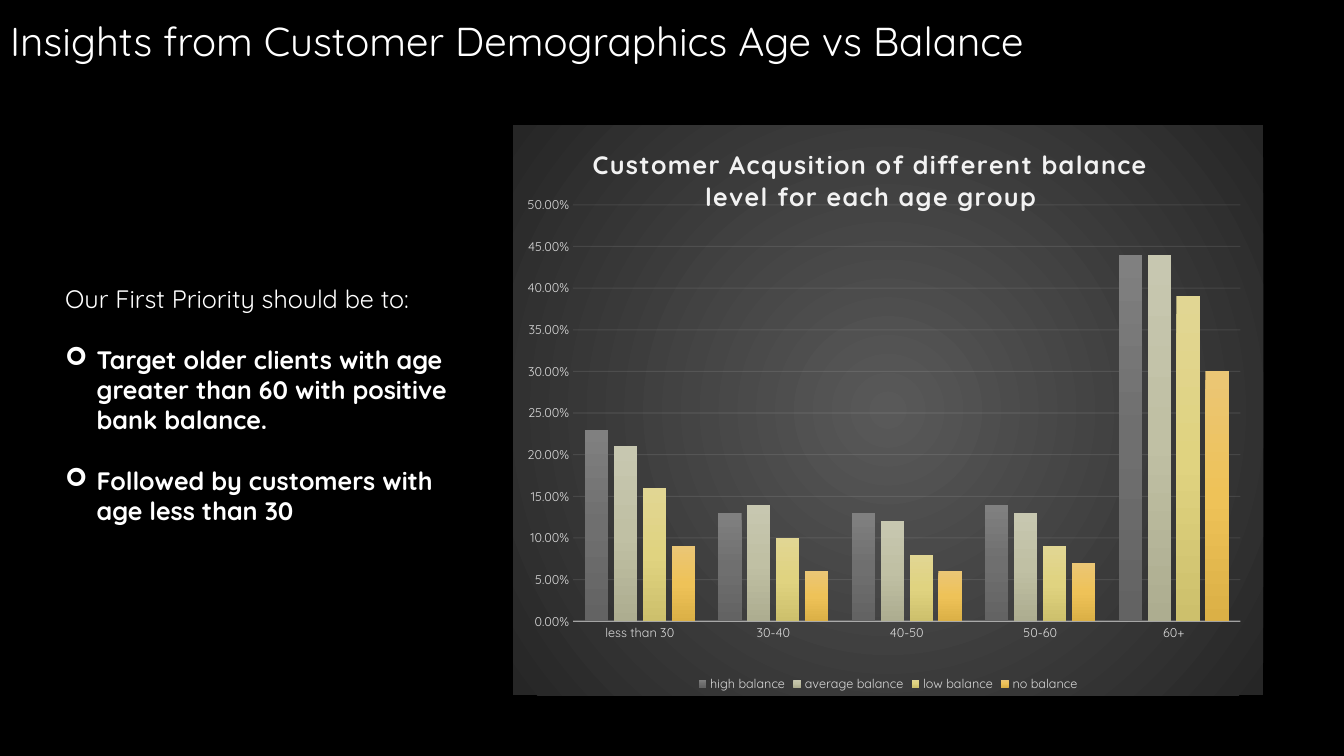
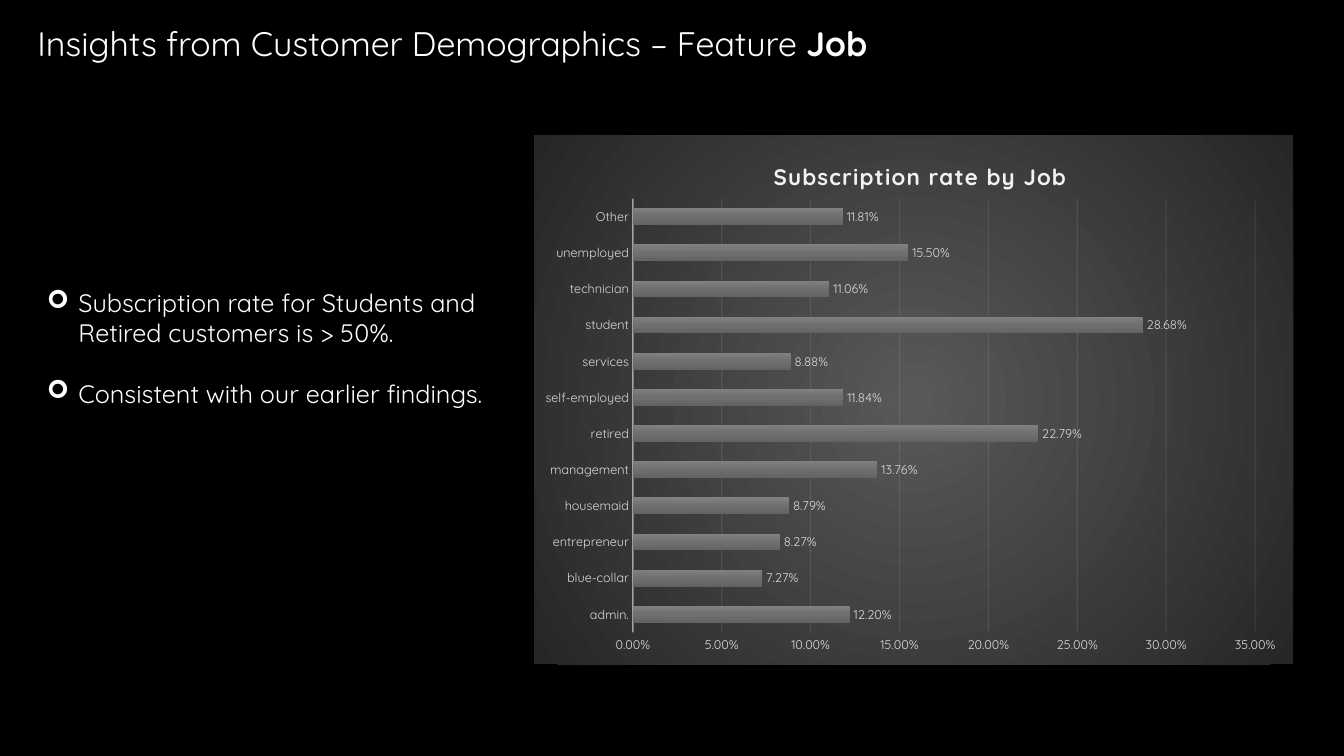
from dataclasses import dataclass
from lxml.etree import SubElement
from pptx import Presentation
from pptx.chart.data import CategoryChartData
from pptx.dml.color import RGBColor
from pptx.enum.chart import XL_CHART_TYPE, XL_LABEL_POSITION, XL_LEGEND_POSITION, XL_TICK_MARK
from pptx.enum.text import MSO_ANCHOR, PP_ALIGN
from pptx.oxml import parse_xml
from pptx.oxml.ns import nsdecls, qn
from pptx.util import Pt

# Shared style
FONT = "Quicksand"
BLACK, WHITE, PALE, LIGHT = "000000", "FFFFFF", "F2F2F2", "D9D9D9"
BODY_SIZE, LINE_PITCH, INDENT = 18, 21.6, 22.5
PERCENT = "0.00%"
BACKDROP = ("595959", "262626")
GREY = ("808080", "6F6F6F", "636363")
SAGE = ("C7C7B0", "C0C0A4", "ADAD90")
YELLOW = ("E1D693", "E0D380", "CDC06C")
GOLD = ("EBC675", "EEC258", "DBB046")
LINEAR = '<a:lin ang="5400000" scaled="0"/>'
RADIAL = '<a:path path="circle"><a:fillToRect l="50000" t="50000" r="50000" b="50000"/></a:path>'


@dataclass
class Box:
    left: float
    top: float
    width: float
    height: float


@dataclass
class Run:
    text: str
    bold: bool = False


@dataclass
class Para:
    text: str
    bold: bool = False
    bullet: bool = True


@dataclass
class Series:
    name: str
    values: list[float]
    shades: tuple[str, ...]


@dataclass
class ChartDef:
    kind: XL_CHART_TYPE
    title: str
    title_size: float
    title_at: tuple[float, float]
    plot_area: tuple[float, float, float, float]
    categories: list[str]
    series: list[Series]
    maximum: float
    gap: int
    overlap: int
    legend: bool = False
    labels: bool = False


@dataclass
class SlideDef:
    title: list[Run]
    title_size: float
    title_box: Box
    paras: list[Para]
    text_box: Box
    chart: ChartDef
    chart_box: Box


def color(value: str) -> RGBColor:
    return RGBColor.from_string(value)


def place(box: Box) -> tuple:
    return Pt(box.left), Pt(box.top), Pt(box.width), Pt(box.height)


def style(font, size: float, value: str, bold: bool = False) -> None:
    font.name, font.size, font.bold = FONT, Pt(size), bold
    font.color.rgb = color(value)


def gradient(shades: tuple[str, ...], direction: str):
    step = 100000 // (len(shades) - 1)
    stops = "".join(f'<a:gs pos="{i * step}"><a:srgbClr val="{shade}"/></a:gs>'
                    for i, shade in enumerate(shades))
    return parse_xml(f'<a:gradFill {nsdecls("a")} rotWithShape="1">'
                     f'<a:gsLst>{stops}</a:gsLst>{direction}</a:gradFill>')


def faint_line(fmt, width: float, opacity: int) -> None:
    fmt.line.width = Pt(width)
    fmt.line.color.rgb = color(PALE)
    for clr in fmt.line._get_or_add_ln().iter(qn("a:srgbClr")):
        SubElement(clr, qn("a:alpha")).set("val", str(opacity * 1000))


def manual_layout(parent_layout, inner: bool, **sizes: float) -> None:
    """Fill a chart layout element with fractions of the chart area."""
    for child in list(parent_layout):
        parent_layout.remove(child)
    manual = SubElement(parent_layout, qn("c:manualLayout"))
    entries = [("layoutTarget", "inner")] if inner else []
    entries += [("xMode", "edge"), ("yMode", "edge"), *sizes.items()]
    for tag, value in entries:
        SubElement(manual, qn(f"c:{tag}")).set("val", str(value))


def add_title(s, runs: list[Run], size: float, box: Box) -> None:
    sp = s.shapes.title
    sp.left, sp.top, sp.width, sp.height = place(box)
    tf = sp.text_frame
    tf.vertical_anchor = MSO_ANCHOR.MIDDLE
    p = tf.paragraphs[0]
    p.alignment = PP_ALIGN.LEFT
    for run in runs:
        r = p.add_run()
        r.text = run.text
        style(r.font, size, WHITE, run.bold)


def add_text(s, paras: list[Para], box: Box) -> None:
    tf = s.shapes.add_textbox(*place(box)).text_frame
    tf.word_wrap = True
    for i, para in enumerate(paras):
        p = tf.add_paragraph() if i else tf.paragraphs[0]
        p.text = para.text
        p.line_spacing = Pt(LINE_PITCH)
        if i < len(paras) - 1:
            p.space_after = Pt(LINE_PITCH)
        style(p.runs[0].font, BODY_SIZE, WHITE, para.bold)
        if para.bullet:
            pPr = p._p.get_or_add_pPr()
            pPr.set("marL", str(Pt(INDENT)))
            pPr.set("indent", str(-Pt(INDENT)))
            SubElement(pPr, qn("a:buFont")).set("typeface", "Wingdings")
            SubElement(pPr, qn("a:buChar")).set("char", "➢")


def format_axes(chart, maximum: float) -> None:
    cat, val = chart.category_axis, chart.value_axis
    for axis in (cat, val):
        axis.major_tick_mark = axis.minor_tick_mark = XL_TICK_MARK.NONE
        style(axis.tick_labels.font, 9, LIGHT)
    cat.has_major_gridlines = False
    faint_line(cat.format, 1, 54)
    val.minimum_scale, val.maximum_scale, val.major_unit = 0, maximum, 0.05
    val.tick_labels.number_format = PERCENT
    val.tick_labels.number_format_is_linked = False
    val.format.line.fill.background()
    val.has_major_gridlines = True
    faint_line(val.major_gridlines.format, 0.75, 10)


def add_bar_chart(s, d: ChartDef, box: Box) -> None:
    data = CategoryChartData(number_format=PERCENT)
    data.categories = d.categories
    for series in d.series:
        data.add_series(series.name, series.values)
    chart = s.shapes.add_chart(d.kind, *place(box), data).chart
    style(chart.font, 10, WHITE)
    format_axes(chart, d.maximum)

    # Chart background
    spPr = parse_xml(f'<c:spPr {nsdecls("c", "a")}><a:ln><a:noFill/></a:ln></c:spPr>')
    spPr.insert(0, gradient(BACKDROP, RADIAL))
    chart_el = chart.element.find(qn("c:chart"))
    chart_el.addnext(spPr)

    # Title
    chart.has_title = True
    title = chart.chart_title
    title.include_in_layout = False
    p = title.text_frame.paragraphs[0]
    p.text = d.title
    r = p.runs[0]
    style(r.font, d.title_size, PALE, True)
    r._r.get_or_add_rPr().set("spc", "100")
    x, y = d.title_at
    manual_layout(title._element.get_or_add_layout() if hasattr(title._element, "get_or_add_layout")
                  else title._element.find(qn("c:layout")), False, x=x, y=y)

    # Plot area and bars
    plot_el = chart_el.find(qn("c:plotArea"))
    layout = plot_el.find(qn("c:layout"))
    if layout is None:
        layout = parse_xml(f'<c:layout {nsdecls("c")}/>')
        plot_el.insert(0, layout)
    x, y, w, h = d.plot_area
    manual_layout(layout, True, x=x, y=y, w=w, h=h)
    plot = chart.plots[0]
    plot.vary_by_categories = False
    plot.gap_width, plot.overlap = d.gap, d.overlap
    for bars, series in zip(plot.series, d.series):
        bars.format.line.fill.background()
        bars._element.get_or_add_spPr().insert(0, gradient(series.shades, LINEAR))

    # Legend and labels
    chart.has_legend = d.legend
    if d.legend:
        chart.legend.position = XL_LEGEND_POSITION.BOTTOM
        chart.legend.include_in_layout = False
        style(chart.legend.font, 9, LIGHT)
    if d.labels:
        plot.has_data_labels = True
        labels = plot.data_labels
        labels.show_value = True
        labels.number_format, labels.number_format_is_linked = PERCENT, False
        labels.position = XL_LABEL_POSITION.OUTSIDE_END
        style(labels.font, 9, LIGHT)


AGE_CHART = ChartDef(
    XL_CHART_TYPE.COLUMN_CLUSTERED,
    "Customer Acqusition of different balance level for each age group",
    18, (0.1, 0.03), (0.08, 0.14, 0.89, 0.73),
    ["less than 30", "30-40", "40-50", "50-60", "60+"],
    [Series("high balance", [0.23, 0.13, 0.13, 0.14, 0.44], GREY),
     Series("average balance", [0.21, 0.14, 0.12, 0.13, 0.44], SAGE),
     Series("low balance", [0.16, 0.1, 0.08, 0.09, 0.39], YELLOW),
     Series("no balance", [0.09, 0.06, 0.06, 0.07, 0.3], GOLD)],
    maximum=0.5, gap=100, overlap=-24, legend=True)

JOB_CHART = ChartDef(
    XL_CHART_TYPE.BAR_CLUSTERED, "Subscription rate by Job",
    16, (0.31, 0.04), (0.13, 0.12, 0.82, 0.82),
    ["admin.", "blue-collar", "entrepreneur", "housemaid", "management", "retired",
     "self-employed", "services", "student", "technician", "unemployed", "Other"],
    [Series("Series 1", [0.122, 0.0727, 0.0827, 0.0879, 0.1376, 0.2279,
                         0.1184, 0.0888, 0.2868, 0.1106, 0.155, 0.1181], GREY)],
    maximum=0.35, gap=115, overlap=-20, labels=True)

SLIDES = [
    SlideDef(
        [Run("Insights from Customer Demographics Age vs Balance")],
        28.8, Box(0, 6, 780, 46),
        [Para("Our First Priority should be to:", bullet=False),
         Para("Target older clients with age greater than 60 with positive bank balance.", True),
         Para("Followed by customers with age less than 30", True)],
        Box(39.5, 199, 288, 180), AGE_CHART, Box(366.5, 89.3, 535.7, 407.5)),
    SlideDef(
        [Run("Insights from Customer Demographics – Feature "), Run("Job", True)],
        24.3, Box(19.5, 8, 696, 46),
        [Para("Subscription rate for Students and Retired customers is > 50%."),
         Para("Consistent with our earlier findings.")],
        Box(26.5, 201.6, 355.7, 94.3), JOB_CHART, Box(381.6, 96.5, 542, 378)),
]


def main() -> None:
    prs = Presentation()
    prs.slide_width, prs.slide_height = Pt(960), Pt(540)
    fill = prs.slide_master.background.fill
    fill.solid()
    fill.fore_color.rgb = color(BLACK)
    for d in SLIDES:
        s = prs.slides.add_slide(prs.slide_layouts[5])
        add_title(s, d.title, d.title_size, d.title_box)
        add_text(s, d.paras, d.text_box)
        add_bar_chart(s, d.chart, d.chart_box)
    prs.save("out.pptx")


if __name__ == "__main__":
    main()
